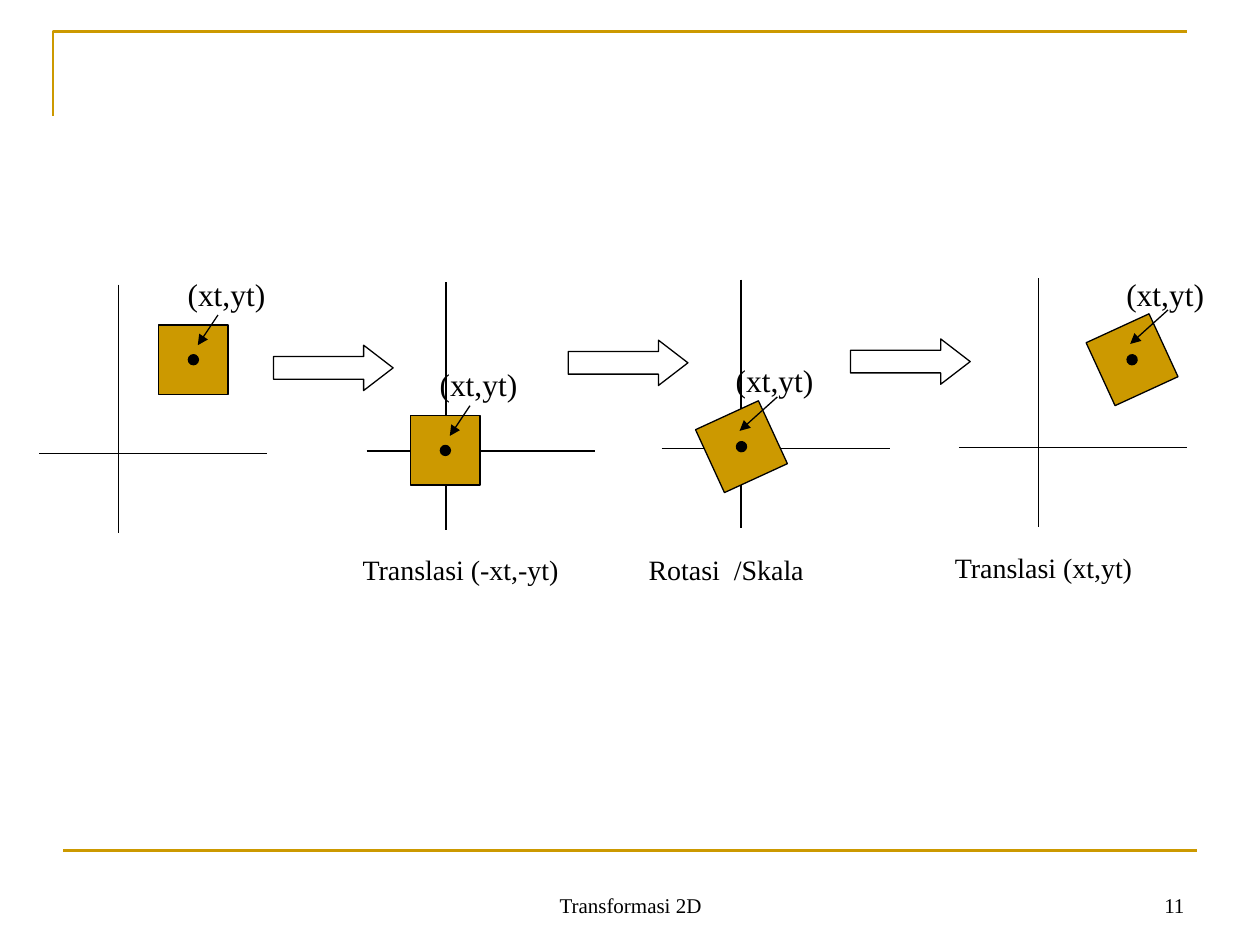
import pptx
import pptx.util
import pptx.dml.color
import pptx.enum.shapes
import pptx.enum.text
import pptx.oxml
import pptx.oxml.ns

Inches = pptx.util.Inches
RGBColor = pptx.dml.color.RGBColor
MSO_SHAPE = pptx.enum.shapes.MSO_SHAPE
PP_ALIGN = pptx.enum.text.PP_ALIGN
MSO_ANCHOR = pptx.enum.text.MSO_ANCHOR
MSO_AUTO_SIZE = pptx.enum.text.MSO_AUTO_SIZE

GOLD = RGBColor(0xCC, 0x99, 0x00)
BLACK = RGBColor(0x00, 0x00, 0x00)
FONT = "Times New Roman"
SIDE = 0.55
DOT = 0.08
TILT = 335.3


def set_line(sp, color=BLACK, width=0.75):
    sp.line.color.rgb = color
    sp.line.width = pptx.util.Pt(width)


def add_line(s, x1, y1, x2, y2, color=BLACK, width=0.75, arrow=False):
    sp = s.shapes.add_connector(
        pptx.enum.shapes.MSO_CONNECTOR.STRAIGHT,
        Inches(x1), Inches(y1), Inches(x2), Inches(y2))
    set_line(sp, color, width)
    if arrow:
        tail = pptx.oxml.ns.qn("a:tailEnd")
        sp.line._get_or_add_ln().append(
            pptx.oxml.parse_xml(
                '<a:tailEnd xmlns:a="http://schemas.openxmlformats.org/drawingml/2006/main"'
                ' type="triangle"/>')
        ) if sp.line._get_or_add_ln().find(tail) is None else None
    sp._element.spPr.append(pptx.oxml.parse_xml(
        '<a:effectLst xmlns:a="http://schemas.openxmlformats.org/drawingml/2006/main"/>'))
    return sp


def add_shape(s, kind, x, y, w, h, fill=None, rotation=0):
    sp = s.shapes.add_shape(kind, Inches(x), Inches(y), Inches(w), Inches(h))
    sp.shadow.inherit = False
    sp.rotation = rotation
    if fill is None:
        sp.fill.background()
    else:
        sp.fill.solid()
        sp.fill.fore_color.rgb = fill
    set_line(sp)
    return sp


def add_text(s, text, x, y, w, h, size, align=PP_ALIGN.LEFT, footer=False):
    tf = s.shapes.add_textbox(Inches(x), Inches(y), Inches(w), Inches(h)).text_frame
    frame_format = {
        "word_wrap": footer,
        "auto_size": MSO_AUTO_SIZE.NONE if footer else MSO_AUTO_SIZE.SHAPE_TO_FIT_TEXT,
        "vertical_anchor": MSO_ANCHOR.BOTTOM if footer else MSO_ANCHOR.TOP,
    }
    for name, value in frame_format.items():
        setattr(tf, name, value)
    p = tf.paragraphs[0]
    p.alignment = align
    r = p.add_run()
    r.text = text
    for name, value in {"name": FONT, "size": pptx.util.Pt(size)}.items():
        setattr(r.font, name, value)
    r.font.color.rgb = BLACK


def add_axes(s, x, y):
    add_line(s, x, y - 1.34, x, y + 0.63)
    add_line(s, x - 0.63, y, x + 1.18, y)


def add_square(s, x, y, tilted):
    add_text(s, "(xt,yt)", x + 0.13, y - 0.45, 0.82, 0.4, 18)
    rotation = TILT if tilted else 0
    add_shape(s, MSO_SHAPE.RECTANGLE, x, y, SIDE, SIDE, GOLD, rotation)
    inset = (SIDE - DOT) / 2
    add_shape(s, MSO_SHAPE.OVAL, x + inset, y + inset, DOT, DOT, BLACK, rotation)
    if tilted:
        x1, y1, x2, y2 = 0.56, -0.12, 0.26, 0.15
    else:
        x1, y1, x2, y2 = 0.47, -0.08, 0.31, 0.16
    add_line(s, x + x1, y + y1, x + x2, y + y2, arrow=True)


def add_block_arrow(s, x, y):
    sp = add_shape(s, MSO_SHAPE.RIGHT_ARROW, x, y, 0.95, 0.36)
    sp.adjustments[0] = 0.5
    sp.adjustments[1] = 0.65


def add_frame(s):
    fb = s.shapes.build_freeform(Inches(0.42), Inches(0.92))
    fb.add_line_segments(
        [(Inches(0.42), Inches(0.25)), (Inches(9.42), Inches(0.25))], close=False)
    sp = fb.convert_to_shape()
    sp.shadow.inherit = False
    sp.fill.background()
    set_line(sp, GOLD, 1.5)
    add_line(s, 0.5, 6.75, 9.5, 6.75, GOLD, 1.5)
    add_text(s, "Transformasi 2D", 3.42, 6.83, 3.17, 0.5, 12, PP_ALIGN.CENTER, True)
    add_text(s, "11", 7.17, 6.83, 2.33, 0.5, 12, PP_ALIGN.RIGHT, True)


def main():
    prs = pptx.Presentation()
    prs.slide_width, prs.slide_height = Inches(10), Inches(7.5)
    s = prs.slides.add_slide(prs.slide_layouts[6])
    add_frame(s)

    stages = [
        ((0.94, 3.6), (1.26, 2.58), False),
        ((3.54, 3.58), (3.26, 3.3), False),
        ((5.88, 3.56), (5.61, 3.27), True),
        ((8.24, 3.55), (8.71, 2.58), True),
    ]
    for origin, corner, tilted in stages:
        add_axes(s, *origin)
        add_square(s, *corner, tilted)

    for x, y in [(2.17, 2.74), (4.51, 2.7), (6.75, 2.69)]:
        add_block_arrow(s, x, y)

    captions = [
        ("Translasi (-xt,-yt)", 2.78, 4.34, 1.76),
        ("Rotasi  /Skala", 5.05, 4.34, 1.43),
        ("Translasi (xt,yt)", 7.48, 4.32, 1.61),
    ]
    for text, x, y, w in captions:
        add_text(s, text, x, y, w, 0.37, 16)

    prs.save("out.pptx")


if __name__ == "__main__":
    main()
